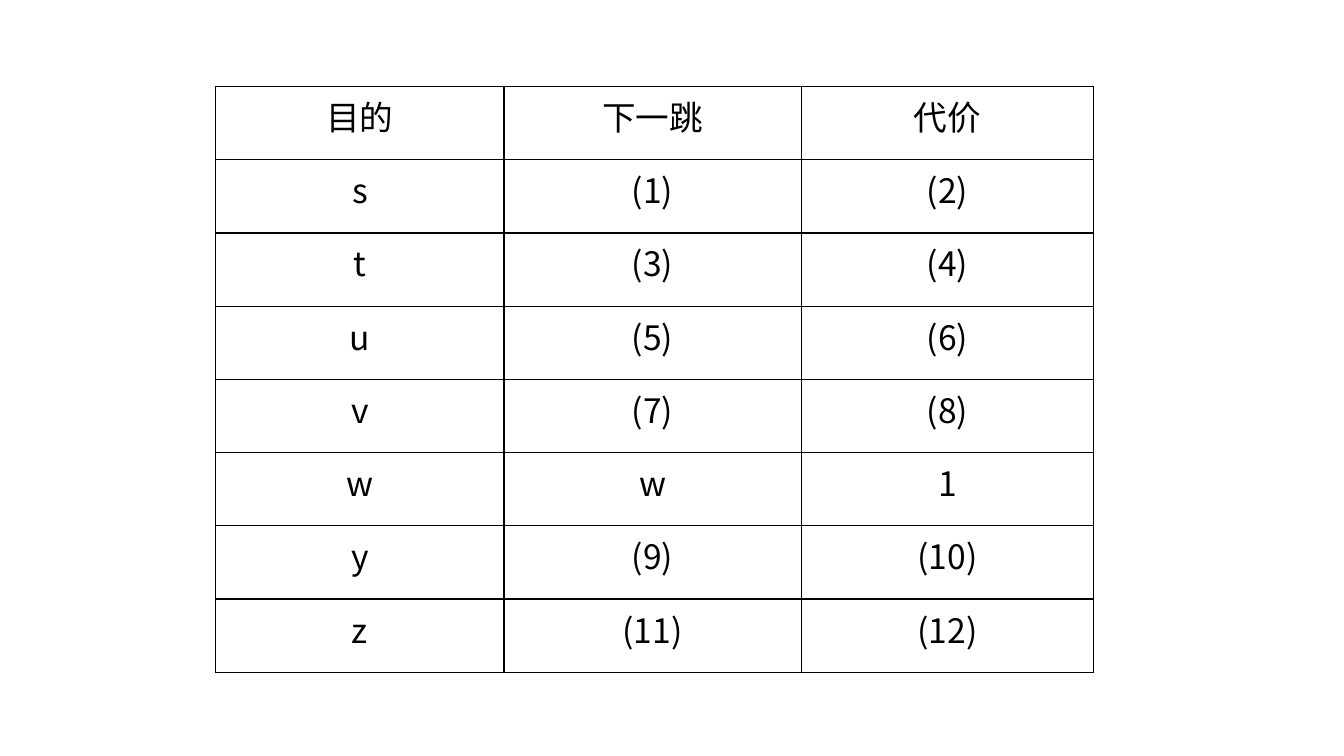
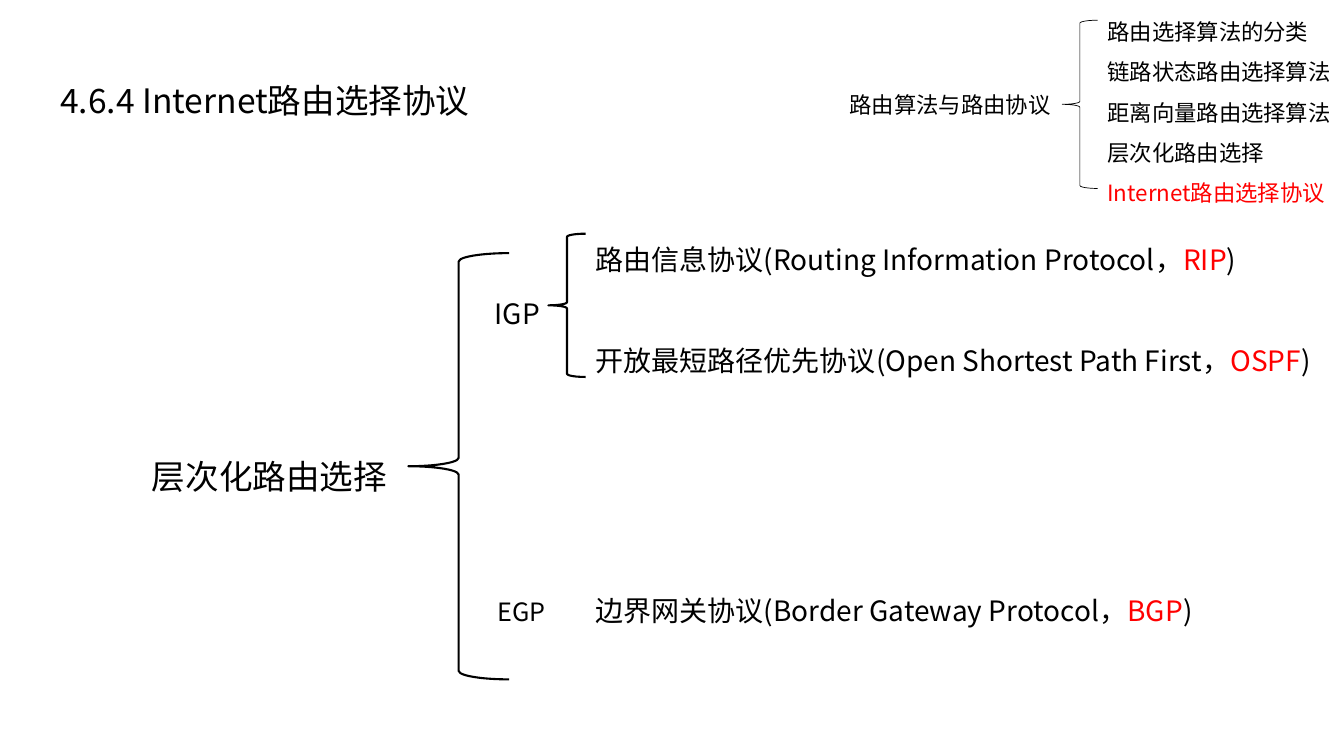
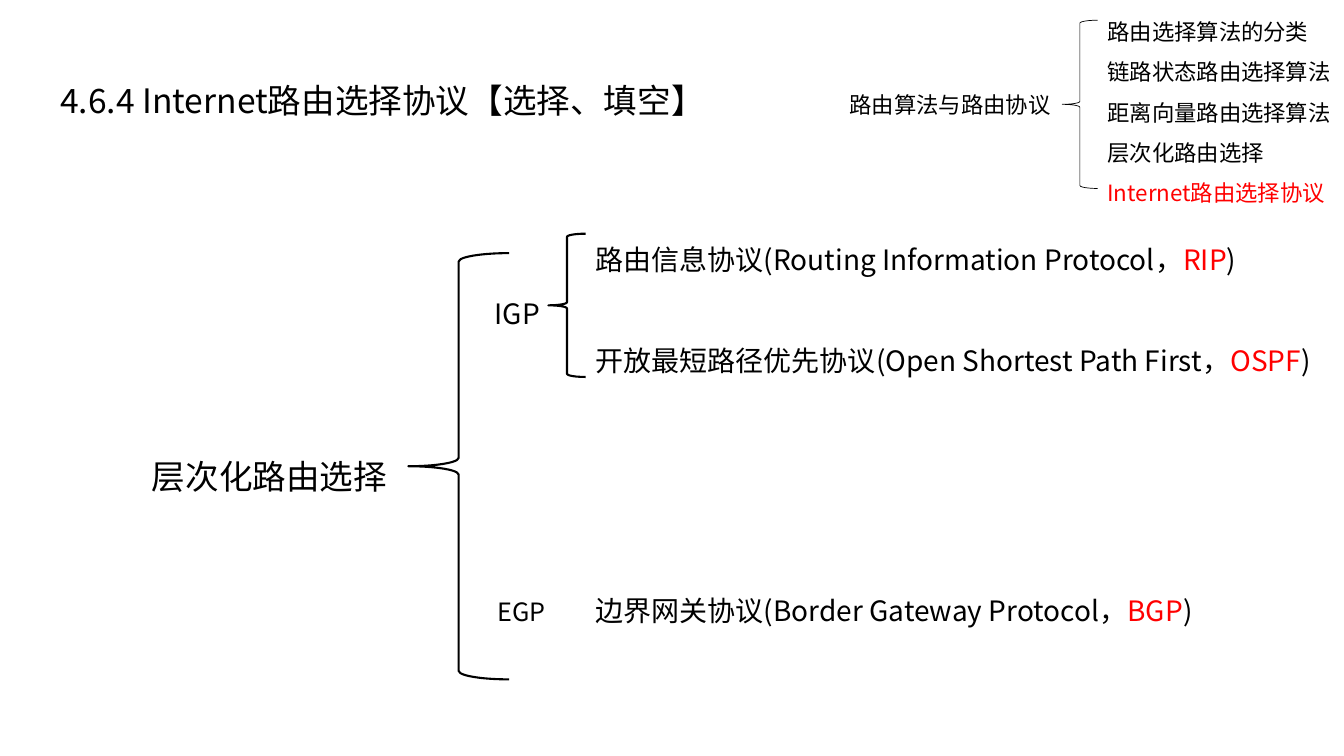
from lxml import etree
from pptx import Presentation
from pptx.dml.color import RGBColor
from pptx.enum.shapes import MSO_SHAPE
from pptx.enum.text import MSO_ANCHOR, MSO_AUTO_SIZE, PP_ALIGN
from pptx.oxml.ns import qn
from pptx.util import Cm, Pt

COLORS = {"ink": "000000", "accent": "FF0000", "paper": "FFFFFF"}
FONT = "Noto Sans CJK SC"
LEFT_BRACE = MSO_SHAPE.LEFT_BRACE
CENTER = PP_ALIGN.CENTER
MIDDLE, TOP = MSO_ANCHOR.MIDDLE, MSO_ANCHOR.TOP
FIT_SHAPE, FIT_NONE = MSO_AUTO_SIZE.SHAPE_TO_FIT_TEXT, MSO_AUTO_SIZE.NONE

ROUTES = [
    ("目的", "下一跳", "代价"),
    ("s", "(1)", "(2)"),
    ("t", "(3)", "(4)"),
    ("u", "(5)", "(6)"),
    ("v", "(7)", "(8)"),
    ("w", "w", "1"),
    ("y", "(9)", "(10)"),
    ("z", "(11)", "(12)"),
]
TOPICS = ["路由选择算法的分类", "链路状态路由选择算法", "距离向量路由选择算法", "层次化路由选择"]
CURRENT_TOPIC = "Internet路由选择协议"
PROTOCOL_TITLES = ["4.6.4 Internet路由选择协议", "4.6.4 Internet路由选择协议【选择、填空】"]


def color(name):
    return RGBColor.from_string(COLORS[name])


def write(paragraph, text, *, size, ink="ink"):
    run = paragraph.add_run()
    run.text = text
    run.font.size = Pt(size)
    run.font.name = FONT
    run.font.color.rgb = color(ink)
    east_asian = etree.SubElement(run.font._element, qn("a:ea"))
    east_asian.set("typeface", FONT)


def protocol(name, abbreviation):
    return [(name + "，", "ink"), (abbreviation, "accent"), (")", "ink")]


class Deck:
    """Holds the presentation style and the slide being built."""

    def __init__(self):
        self.presentation = Presentation()
        self.presentation.slide_width = Cm(33.87)
        self.presentation.slide_height = Cm(19.05)
        self.slide = None

    def new_slide(self):
        self.slide = self.presentation.slides.add_slide(self.presentation.slide_layouts[6])
        fill = self.slide.background.fill
        fill.solid()
        fill.fore_color.rgb = color("paper")

    def text(self, box, paragraphs, *, size, spacing=1.5, gap=0, anchor=TOP, fit=FIT_SHAPE):
        shape = self.slide.shapes.add_textbox(*map(Cm, box))
        frame = shape.text_frame
        frame.word_wrap = True
        frame.auto_size = fit
        frame.vertical_anchor = anchor
        for index, runs in enumerate(paragraphs):
            paragraph = frame.add_paragraph() if index else frame.paragraphs[0]
            paragraph.line_spacing = spacing
            if index:
                paragraph.space_before = Pt(gap)
            for content, ink in runs:
                write(paragraph, content, size=size, ink=ink)
        return frame

    def label(self, box, content, **style):
        return self.text(box, [[(content, "ink")]], **style)

    def title(self, content):
        frame = self.label((1.22, 0.94, 17.15, 2.64), content, size=24, anchor=MIDDLE, fit=FIT_NONE)
        frame.margin_left = frame.margin_right = Cm(0.3)
        frame.margin_top = frame.margin_bottom = Cm(0.15)

    def brace(self, box, weight=1.5):
        shape = self.slide.shapes.add_shape(LEFT_BRACE, *map(Cm, box))
        shape.shadow.inherit = False
        shape.fill.background()
        shape.line.color.rgb = color("ink")
        shape.line.width = Pt(weight)

    def border(self, cell):
        properties = cell._tc.get_or_add_tcPr()
        for side in ("lnL", "lnR", "lnT", "lnB"):
            line = etree.SubElement(properties, qn("a:" + side), w=str(Pt(1)))
            fill = etree.SubElement(line, qn("a:solidFill"))
            etree.SubElement(fill, qn("a:srgbClr"), val=COLORS["ink"])

    def table(self, left, top, widths, height, rows):
        shape = self.slide.shapes.add_table(
            len(rows), len(widths), Cm(left), Cm(top), Cm(sum(widths)), Cm(height))
        table = shape.table
        table.first_row = False
        table.horz_banding = False
        for column, width in zip(table.columns, widths):
            column.width = Cm(width)
        for row, values in zip(table.rows, rows):
            row.height = Cm(height) // len(rows)
            for cell, value in zip(row.cells, values):
                self.border(cell)
                cell.fill.background()
                paragraph = cell.text_frame.paragraphs[0]
                paragraph.alignment = CENTER
                write(paragraph, value, size=24)

    def outline(self):
        self.brace((26.77, 0.51, 0.89, 4.24), weight=0.5)
        self.label((21.16, 2.16, 5.64, 0.94), "路由算法与路由协议", size=16, spacing=1)
        topics = [[(topic, "ink")] for topic in TOPICS] + [[(CURRENT_TOPIC, "accent")]]
        self.text((27.66, 0, 6.22, 5.38), topics, size=16)

    def protocols(self, title):
        self.new_slide()
        self.label((3.58, 10.85, 6.68, 1.8), "层次化路由选择", size=24)
        self.brace((10.29, 6.38, 2.54, 10.74))
        self.label((12.22, 6.93, 1.93, 1.55), "IGP", size=20)
        self.label((12.29, 14.53, 1.88, 1.42), "EGP", size=18)
        interior = [protocol("路由信息协议(Routing Information Protocol", "RIP"),
                    protocol("开放最短路径优先协议(Open Shortest Path First", "OSPF")]
        self.text((14.76, 5.56, 20.09, 4.11), interior, size=20, gap=36)
        self.brace((13.82, 5.89, 0.94, 3.61))
        exterior = [protocol("边界网关协议(Border Gateway Protocol", "BGP")]
        self.text((14.76, 14.4, 15.88, 1.55), exterior, size=20)
        self.outline()
        self.title(title)


def main():
    deck = Deck()
    deck.new_slide()
    deck.table(5.44, 2.18, (7.26, 7.49, 7.37), 14.76, ROUTES)
    for title in PROTOCOL_TITLES:
        deck.protocols(title)
    deck.presentation.save("out.pptx")


if __name__ == "__main__":
    main()
